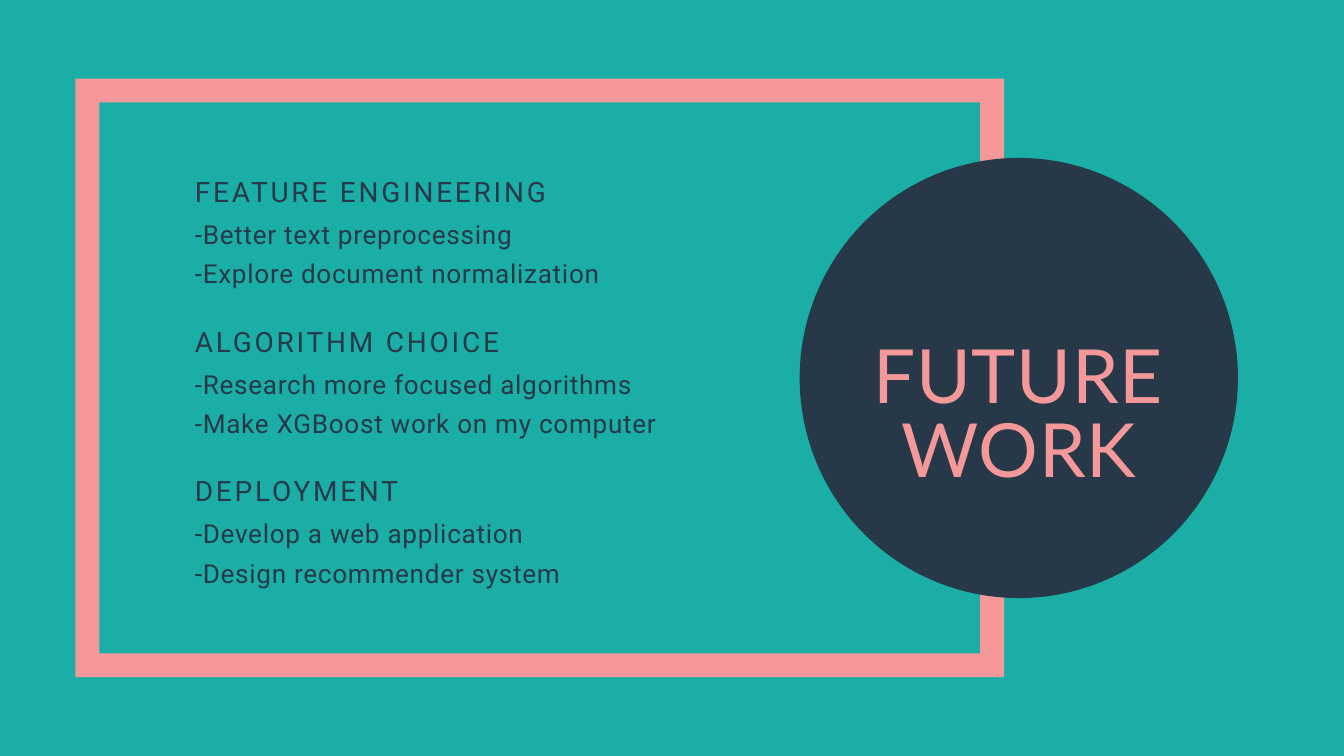
"""Build the slide on future work."""
from dataclasses import dataclass
from pptx import Presentation
from pptx.dml.color import RGBColor
from pptx.enum.shapes import MSO_SHAPE
from pptx.enum.text import MSO_ANCHOR, PP_ALIGN
from pptx.util import Pt


@dataclass(frozen=True)
class Theme:
    back: str = "1AAEA6"
    rose: str = "F59899"
    navy: str = "273948"
    title: tuple = ("Lato", 80, 0.8, 80)
    head: tuple = ("Roboto", 30, 3, 42)
    body: tuple = ("Roboto", 28, 0.8, 42)


THEME = Theme()
LEFT, TOP, STEP, DROP = 208.8, 180.7, 160.56, 44.64
TOPICS = [
    ("FEATURE ENGINEERING",
     ["-Better text preprocessing", "-Explore document normalization"]),
    ("ALGORITHM CHOICE",
     ["-Research more focused algorithms", "-Make XGBoost work on my computer"]),
    ("DEPLOYMENT",
     ["-Develop a web application", "-Design recommender system"]),
]


def apply(item, form):
    for key, value in form.items():
        setattr(item, key, value)


def paint(fill, tint):
    fill.solid()
    fill.fore_color.rgb = RGBColor.from_string(tint)


def add_form(slide, kind, box, tint):
    form = slide.shapes.add_shape(kind, *map(Pt, box))
    form.shadow.inherit = False
    paint(form.fill, tint)
    form.line.fill.background()
    return form


def add_text(slide, box, lines, style, tint, align=PP_ALIGN.LEFT):
    face, size, space, pitch = style
    frame = slide.shapes.add_textbox(*map(Pt, box)).text_frame
    apply(frame, {"margin_left": 0, "margin_right": 0, "margin_top": 0,
                  "margin_bottom": 0, "word_wrap": True,
                  "vertical_anchor": MSO_ANCHOR.TOP})
    frame.text = "\n".join(lines)
    for para in frame.paragraphs:
        apply(para, {"alignment": align, "line_spacing": Pt(pitch)})
        for run in para.runs:
            apply(run.font, {"name": face, "size": Pt(size)})
            run.font.color.rgb = RGBColor.from_string(tint)
            run.font._element.set("spc", str(round(space * 100)))


def add_topic(slide, top, head, lines):
    add_text(slide, (LEFT, top, 491.8, 39.6), [head], THEME.head, THEME.navy)
    add_text(slide, (LEFT, top + DROP, 583.9, 79.2), lines,
             THEME.body, THEME.navy)


def main():
    deck = Presentation()
    apply(deck, {"slide_width": Pt(1440), "slide_height": Pt(810)})
    slide = deck.slides.add_slide(deck.slide_layouts[6])
    paint(slide.background.fill, THEME.back)
    border = add_form(slide, MSO_SHAPE.FRAME, (80.8, 84.2, 995, 641.4), THEME.rose)
    border.adjustments[0] = 25.6 / 641.4
    add_form(slide, MSO_SHAPE.OVAL, (856.8, 169.2, 469.6, 471.6), THEME.navy)
    add_text(slide, (908.6, 367.9, 365.8, 160), ["FUTURE\vWORK"],
             THEME.title, THEME.rose, PP_ALIGN.CENTER)
    for index, (head, lines) in enumerate(TOPICS):
        add_topic(slide, TOP + index * STEP, head, lines)
    deck.save("out.pptx")


main()
